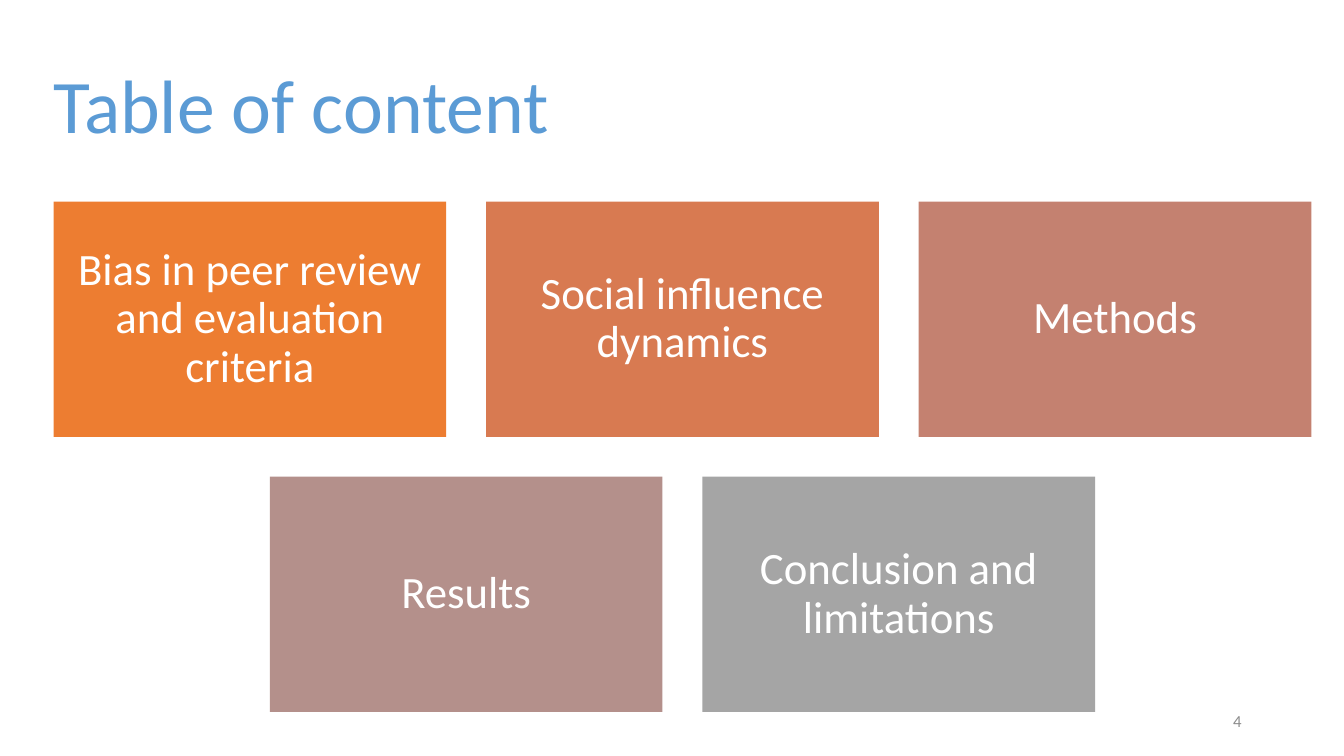
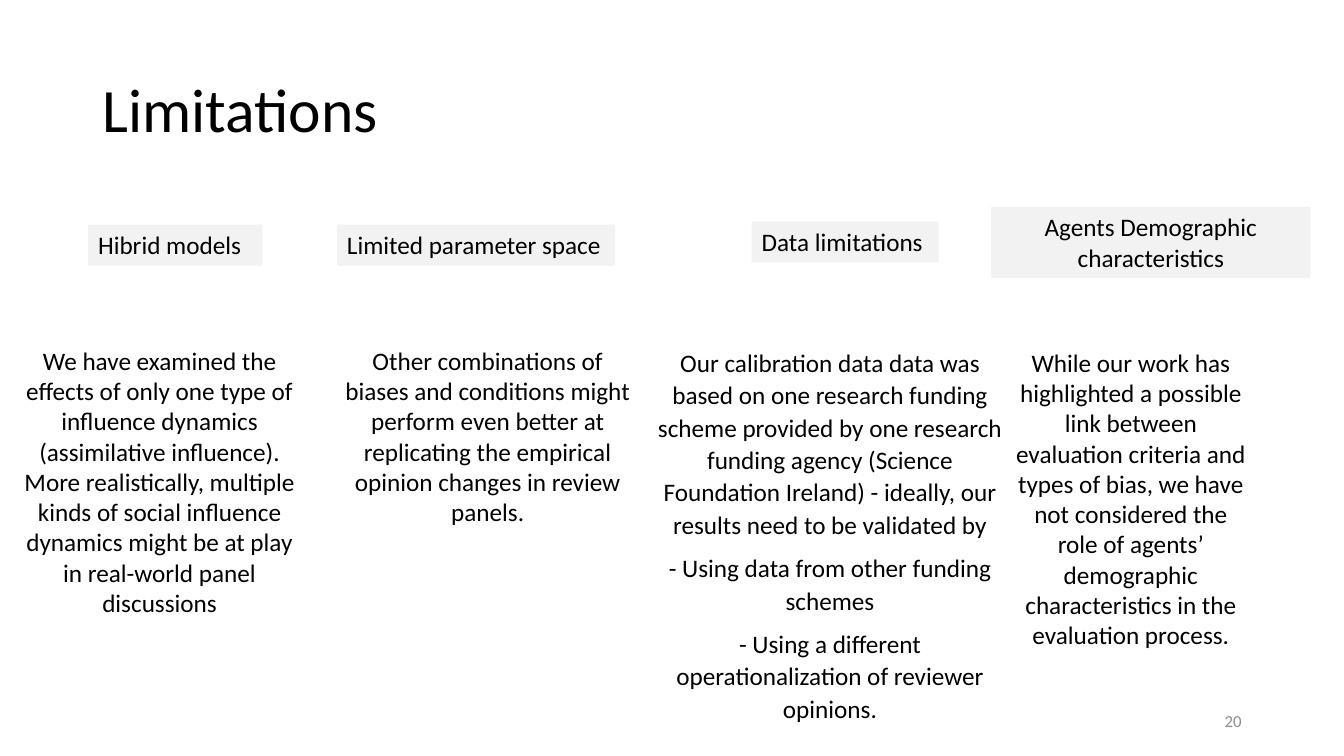
from dataclasses import dataclass
from typing import NamedTuple

from pptx import Presentation
from pptx.dml.color import RGBColor
from pptx.enum.shapes import MSO_SHAPE as Shape
from pptx.enum.text import MSO_ANCHOR as Anchor, MSO_AUTO_SIZE as AutoSize, PP_ALIGN as Align
from pptx.util import Emu, Pt

EMU_PER_PX = 9525
TITLE_ONLY = 5


class Box(NamedTuple):
    """Left, top, width and height in px."""
    left: int
    top: int
    width: int
    height: int

    def emu(self):
        """Return the four lengths in EMU."""
        return [Emu(length * EMU_PER_PX) for length in self]


@dataclass(frozen=True)
class Theme:
    """Colours and type sizes that the slides share."""
    font: str = "Calibri"
    ink: str = "000000"
    white: str = "FFFFFF"
    accent: str = "5B9BD5"
    label: str = "F2F2F2"
    muted: str = "8C8C8C"
    cards: tuple = ("ED7D31", "D87A51", "C48170", "B4908B", "A5A5A5")
    large_title: int = 54
    title: int = 44
    card: int = 32
    body: int = 18
    number: int = 12


THEME = Theme()
NUMBER_BOX = Box(904, 667, 288, 38)

TOPICS = (
    "Bias in peer review and evaluation criteria",
    "Social influence dynamics",
    "Methods",
    "Results",
    "Conclusion and limitations",
)

LIMITATIONS = (
    (Box(84, 214, 166, 39), "Hibrid models", Align.LEFT,
     Box(10, 324, 284, 272), 1.0, 0,
     ("We have examined the effects of only one type of influence dynamics "
      "(assimilative influence).",
      "More realistically, multiple kinds of social influence dynamics might be "
      "at play in real-world panel discussions")),
    (Box(321, 214, 265, 39), "Limited parameter space", Align.LEFT,
     Box(318, 324, 293, 184), 1.0, 0,
     ("Other combinations of biases and conditions might perform even better at "
      "replicating the empirical opinion changes in review panels.",)),
    (Box(716, 211, 178, 39), "Data limitations", Align.LEFT,
     Box(612, 324, 357, 372), 1.07, 8,
     ("Our calibration data data was based on one research funding scheme provided "
      "by one research funding agency (Science Foundation Ireland) - ideally, our "
      "results need to be validated by",
      "- Using data from other funding schemes",
      "- Using a different operationalization of reviewer opinions.")),
    (Box(944, 197, 304, 68), "Agents Demographic characteristics", Align.CENTER,
     Box(958, 326, 238, 300), 1.0, 0,
     ("While our work has highlighted a possible link between evaluation criteria "
      "and types of bias, we have not considered the role of agents’ demographic "
      "characteristics in the evaluation process.",)),
)


def write(shape, lines, size, color, align=Align.LEFT, anchor=Anchor.TOP,
          spacing=1.0, after=0):
    """Fill a shape with evenly styled paragraphs."""
    frame = shape.text_frame
    frame.word_wrap = True
    frame.auto_size = AutoSize.NONE
    frame.vertical_anchor = anchor
    frame.text = "\n".join(lines)
    for para in frame.paragraphs:
        para.alignment = align
        para.line_spacing = spacing
        para.space_after = Pt(after)
        para.font.name = THEME.font
        para.font.size = Pt(size)
        para.font.color.rgb = RGBColor.from_string(color)


def add_panel(page, box, fill):
    """Add a flat rectangle without outline."""
    panel = page.shapes.add_shape(Shape.RECTANGLE, *box.emu())
    panel.shadow.inherit = False
    panel.fill.solid()
    panel.fill.fore_color.rgb = RGBColor.from_string(fill)
    panel.line.fill.background()
    return panel


def add_page(deck, box, title, size, color, number):
    """Add a slide with its title and slide number."""
    page = deck.slides.add_slide(deck.slide_layouts[TITLE_ONLY])
    heading = page.shapes.title
    heading.left, heading.top, heading.width, heading.height = box.emu()
    write(heading, [title], size, color, anchor=Anchor.MIDDLE, spacing=0.9)
    write(page.shapes.add_textbox(*NUMBER_BOX.emu()), [str(number)], THEME.number,
          THEME.muted, Align.RIGHT, Anchor.MIDDLE)
    return page


def add_card(page, box, text, fill):
    """Add a coloured topic card."""
    card = add_panel(page, box, fill)
    frame = card.text_frame
    frame.margin_left = frame.margin_right = Emu(12 * EMU_PER_PX)
    frame.margin_top = frame.margin_bottom = Emu(12 * EMU_PER_PX)
    write(card, [text], THEME.card, THEME.white, Align.CENTER, Anchor.MIDDLE, 0.9)


def add_card_grid(page, box, topics, columns=3, gap=38):
    """Lay cards out in rows, centring a short last row."""
    width = (box.width - gap * (columns - 1)) // columns
    height = (box.height - gap) // 2
    for index, (topic, fill) in enumerate(zip(topics, THEME.cards)):
        row, column = divmod(index, columns)
        count = min(columns, len(topics) - row * columns)
        indent = (box.width - count * width - (count - 1) * gap) // 2
        left = box.left + indent + column * (width + gap)
        top = box.top + row * (height + gap)
        add_card(page, Box(left, top, width, height), topic, fill)


def add_limitation(page, label_box, label, align, body_box, spacing, after, lines):
    """Add a shaded label and the text below it."""
    write(add_panel(page, label_box, THEME.label), [label], THEME.body, THEME.ink, align)
    write(page.shapes.add_textbox(*body_box.emu()), lines, THEME.body, THEME.ink,
          Align.CENTER, spacing=spacing, after=after)


def add_contents(deck):
    """Add the table of content."""
    page = add_page(deck, Box(41, 34, 1198, 139), "Table of content",
                    THEME.large_title, THEME.accent, 4)
    add_card_grid(page, Box(51, 192, 1198, 486), TOPICS)


def add_limitations(deck):
    """Add the four limitations."""
    page = add_page(deck, Box(88, 38, 1104, 139), "Limitations",
                    THEME.title, THEME.ink, 20)
    for limitation in LIMITATIONS:
        add_limitation(page, *limitation)


def main():
    """Build and save the deck."""
    deck = Presentation()
    deck.slide_width, deck.slide_height = Box(0, 0, 1280, 720).emu()[2:]
    add_contents(deck)
    add_limitations(deck)
    deck.save("out.pptx")


if __name__ == "__main__":
    main()
